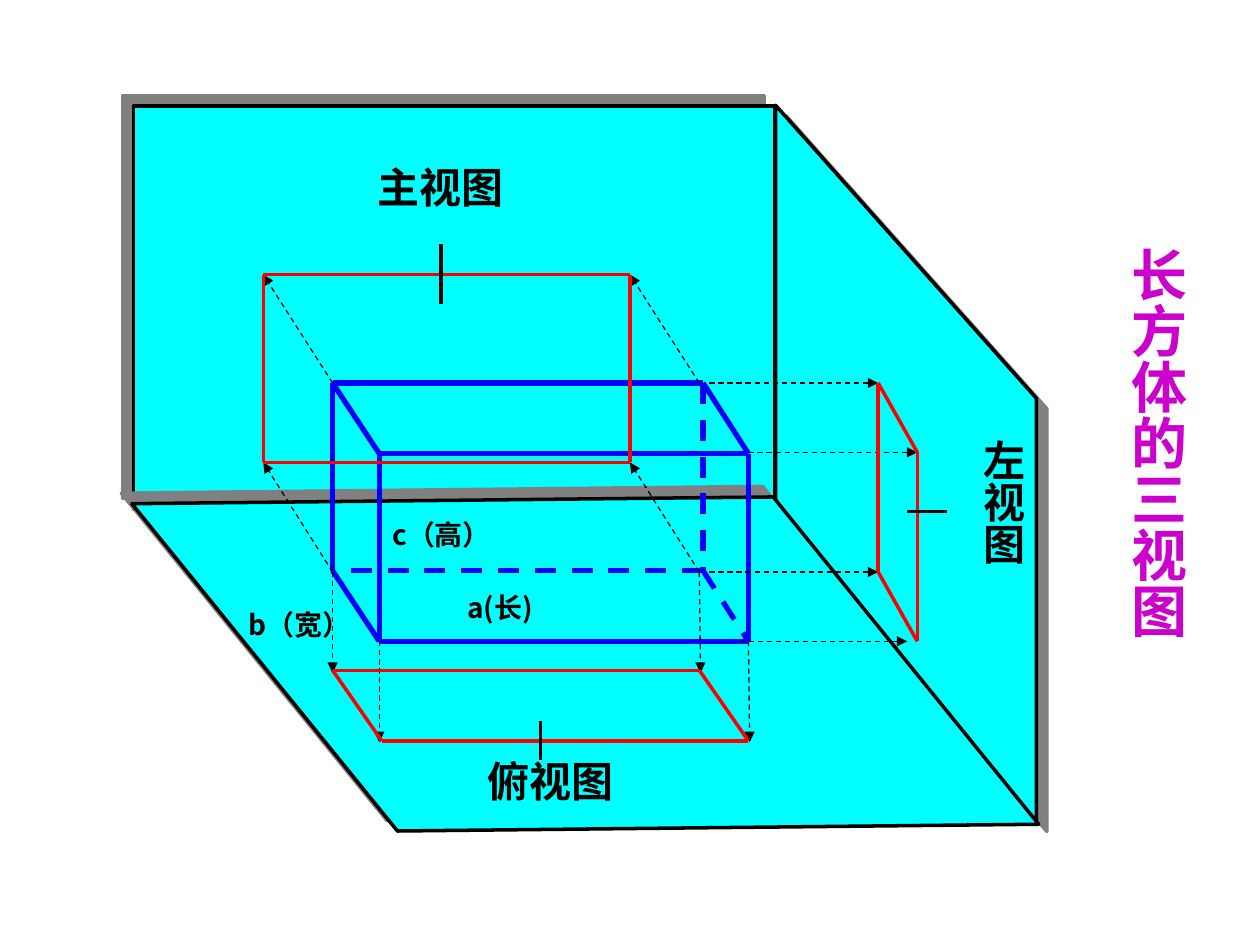
from lxml import etree
from pptx import Presentation
from pptx import util as u
from pptx.dml.color import RGBColor
from pptx.enum import dml, shapes, text
from pptx.oxml.ns import qn

BLACK = RGBColor(0, 0, 0)
CYAN = RGBColor(0, 255, 255)
BLUE = RGBColor(0, 0, 255)
RED = RGBColor(255, 0, 0)
PURPLE = RGBColor(204, 0, 204)
GRAY = RGBColor(128, 128, 128)
COLS, ROWS = 100, 75


class Diagram:
    font = "Noto Sans CJK SC"

    def __init__(self, prs):
        self.cell = prs.slide_width / COLS
        self.s = prs.slides.add_slide(prs.slide_layouts[5])

    def grid(self, *cells):
        return [u.Emu(round(c * self.cell)) for c in cells]

    def wall(self, kind, at, angle, rot=0, adj=None, flip=False):
        sp = self.s.shapes.add_shape(kind, *self.grid(*at))
        sp.rotation = rot
        if adj:
            sp.adjustments[0] = adj
        if flip:
            sp._element.spPr.xfrm.set("flipH", "1")
        sp.fill.solid()
        sp.fill.fore_color.rgb = CYAN
        sp.line.color.rgb = BLACK
        sp.line.width = u.Pt(2)
        sp.shadow.inherit = False
        effects = sp._element.spPr.find(qn("a:effectLst"))
        shadow = etree.SubElement(effects, qn("a:outerShdw"), dist=str(u.Pt(8.5)),
                                  dir=str(angle * 60000), algn="ctr", rotWithShape="0")
        etree.SubElement(shadow, qn("a:srgbClr"), val=str(GRAY))

    def line(self, start, end, color=BLACK, width=2, dash=False, arrow=False):
        c = self.s.shapes.add_connector(shapes.MSO_CONNECTOR.STRAIGHT, *self.grid(*start, *end))
        c.line.color.rgb = color
        c.line.width = u.Pt(width)
        if dash:
            c.line.dash_style = dml.MSO_LINE.DASH
        if arrow:
            etree.SubElement(c.line._get_or_add_ln(), qn("a:tailEnd"), type="triangle")
        etree.SubElement(c._element.spPr, qn("a:effectLst"))

    def outline(self, points, color):
        for start, end in zip(points, points[1:] + points[:1]):
            self.line(start, end, color)

    def rays(self, starts, ends):
        for start, end in zip(starts, ends):
            self.line(start, end, width=0.75, dash=True, arrow=True)

    def label(self, words, at, size, color=BLACK, align=text.PP_ALIGN.LEFT,
              vertical=False, sp=None):
        sp = sp or self.s.shapes.add_textbox(0, 0, 0, 0)
        sp.left, sp.top, sp.width, sp.height = self.grid(*at)
        tf = sp.text_frame
        x, y = (0.5, 1) if vertical else (1, 0.5)
        left, top = self.grid(x, y)
        frame = dict(word_wrap=True, auto_size=text.MSO_AUTO_SIZE.NONE,
                     vertical_anchor=text.MSO_ANCHOR.TOP, margin_left=left,
                     margin_right=left, margin_top=top, margin_bottom=top)
        for name, value in frame.items():
            setattr(tf, name, value)
        if vertical:
            tf._txBody.bodyPr.set("vert", "eaVert")
        p = tf.paragraphs[0]
        p.alignment = align
        r = p.add_run()
        r.text = words
        for name, value in dict(size=u.Pt(size), bold=True, name=self.font).items():
            setattr(r.font, name, value)
        r.font.color.rgb = color
        etree.SubElement(r._r.get_or_add_rPr(), qn("a:ea"), typeface=self.font)


def corners(x, y, w, h, skew_x=0, skew_y=0):
    return [(x, y), (x + w, y + skew_y), (x + w + skew_x, y + h + skew_y), (x + skew_x, y + h)]


def main():
    prs = Presentation()
    prs.slide_width, prs.slide_height = u.Inches(10), u.Inches(7.5)
    d = Diagram(prs)

    kind = shapes.MSO_SHAPE
    d.wall(kind.RECTANGLE, (10.6, 8.4, 50.9, 32), 225)
    d.wall(kind.PARALLELOGRAM, (43.5, 26.4, 56.8, 20.7), 45, rot=90, adj=1.124)
    d.wall(kind.PARALLELOGRAM, (10.6, 39.6, 71.7, 26.2), 225, rot=359.4, adj=0.794, flip=True)

    back = corners(26.4, 30.4, 29.4, 14.9)
    front = corners(30.1, 36, 29.3, 14.9)
    d.outline(front, BLUE)
    for i in range(4):
        d.line(back[i], back[(i + 1) % 4], BLUE, 3, dash=i in (1, 2))
        d.line(back[i], front[i], BLUE, 3, dash=i == 2)
        d.line(front[i], front[(i + 1) % 4], BLUE, 3)

    main_view = corners(20.9, 21.8, 29.1, 14.9)
    d.rays(corners(26.4, 30.4, 29.1, 15), main_view)
    d.outline(main_view, RED)

    left_view = [(69.7, 30.4), (72.8, 35.9), (72.8, 50.9), (69.7, 45.4)]
    d.rays([(56.3, 30.4), (59.4, 35.9), (58.7, 50.9), (56.3, 45.4)],
           left_view[:2] + [(72, 50.9)] + left_view[3:])
    d.outline(left_view, RED)

    top_view = corners(26.4, 53.2, 29.1, 5.6, skew_x=3.9)
    d.rays([(26.4, 45.4), (55.5, 45.4), (59.4, 50.9), (30.1, 50.9)],
           [(26.4, 53.4), (55.6, 53.4), (59.5, 58.9), (30.1, 58.9)])
    d.outline(top_view, RED)

    d.line((35, 19.4), (35, 24.1))
    d.line((42.9, 57.2), (42.9, 60.3))
    d.line((72, 40.6), (75.2, 40.6))
    d.label("主视图", (29, 12.3, 13.7, 5.7), 24)
    d.label("俯视图", (37.7, 59.5, 13.7, 5.7), 24)
    d.label("左视图", (75.3, 33.9, 6.8, 13.6), 24, vertical=True)

    center = text.PP_ALIGN.CENTER
    d.label("c（高）", (26.4, 40.6, 17.3, 5), 16, align=center)
    d.label("a(长)", (34.6, 46.4, 10.2, 4.4), 16, align=center)
    d.label("b（宽）", (17.1, 47.7, 13.4, 5), 16, align=center)
    d.label("长方体的三视图", (87.7, 18.6, 7.3, 34), 32, PURPLE, vertical=True,
            sp=d.s.shapes.title)
    prs.save("out.pptx")


if __name__ == "__main__":
    main()
